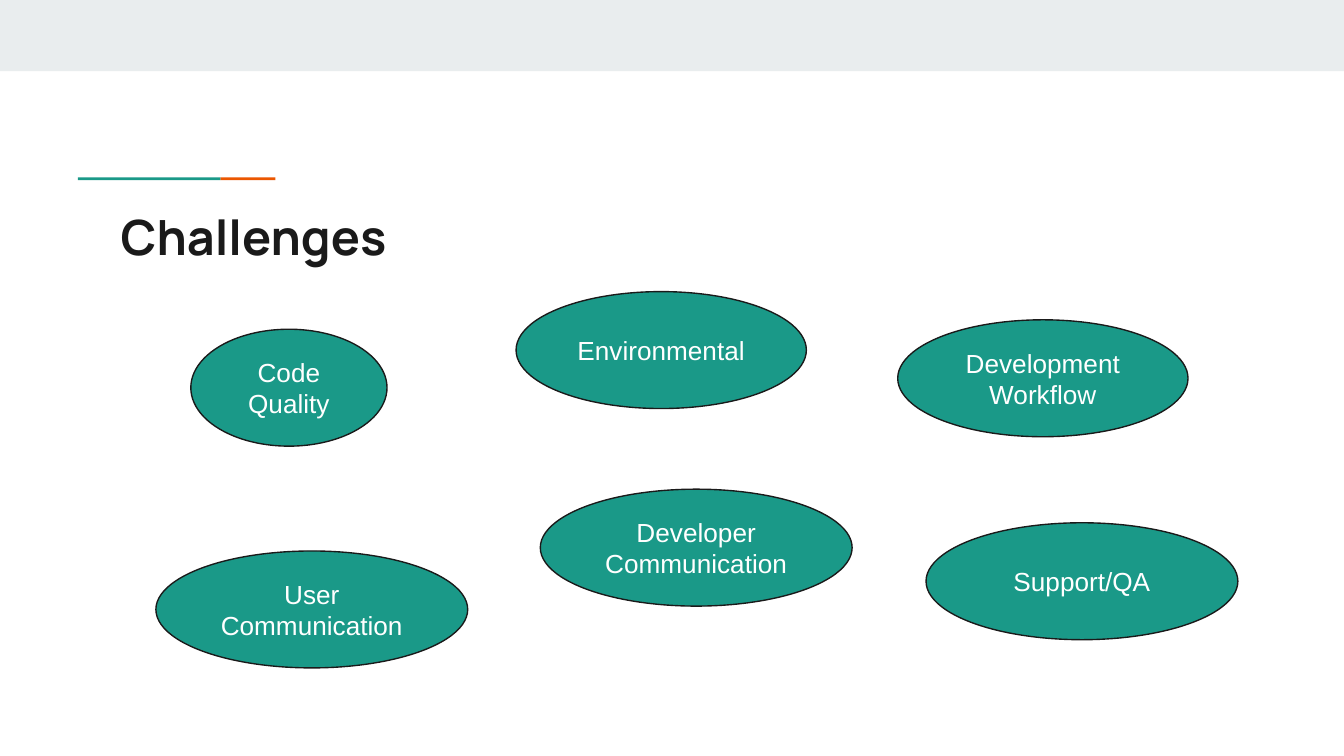
from pptx import Presentation
from pptx import util as u
from pptx.dml.color import RGBColor
from pptx.enum import shapes, text

WIDE = 10
HIGH = WIDE * 9 / 16
TEAL, ORANGE, INK, PALE, WHITE = "1A9988", "EB5600", "1A1A1A", "E9EDEE", "FFFFFF"
OVAL_HIGH = 0.87
# label, left, top, width
OVALS = [
    ("Code Quality", 1.42, 2.45, 1.46),
    ("Environmental", 3.84, 2.17, 2.16),
    ("Development Workflow", 6.68, 2.38, 2.16),
    ("Developer Communication", 4.02, 3.64, 2.32),
    ("User Communication", 1.16, 4.1, 2.32),
    ("Support/QA", 6.89, 3.89, 2.32),
]


def color(code):
    return RGBColor.from_string(code)


def place(left, top, width, height):
    return [u.Inches(n) for n in (left, top, width, height)]


def add_solid(slide, kind, box, fill, line=None):
    """Add a filled shape, outlined only if a line colour is given."""
    shape = slide.shapes.add_shape(kind, *place(*box))
    shape.shadow.inherit = False
    shape.fill.solid()
    shape.fill.fore_color.rgb = color(fill)
    if line:
        shape.line.color.rgb = color(line)
        shape.line.width = u.Pt(0.75)
    else:
        shape.line.fill.background()
    return shape


def write(shape, words, face, size, ink, align, anchor, bold=False):
    frame = shape.text_frame
    frame.text = words
    frame.word_wrap = True
    frame.vertical_anchor = anchor
    frame.margin_left = frame.margin_right = u.Inches(0.1)
    frame.margin_top = frame.margin_bottom = u.Inches(0.1)
    line = frame.paragraphs[0]
    line.alignment = align
    font = line.runs[0].font
    font.name, font.size, font.bold = face, u.Pt(size), bold
    font.color.rgb = color(ink)


def add_title(slide, words):
    box = slide.shapes.add_textbox(*place(0.8, 1.44, 8.41, 0.59))
    write(box, words, "Manrope", 26, INK, text.PP_ALIGN.LEFT,
          text.MSO_ANCHOR.TOP, bold=True)


def add_oval(slide, words, left, top, width):
    oval = add_solid(slide, shapes.MSO_SHAPE.OVAL,
                     (left, top, width, OVAL_HIGH), TEAL, INK)
    write(oval, words, "Arial", 14, WHITE, text.PP_ALIGN.CENTER,
          text.MSO_ANCHOR.MIDDLE)


def main():
    deck = Presentation()
    deck.slide_width, deck.slide_height = u.Inches(WIDE), u.Inches(HIGH)
    slide = deck.slides.add_slide(deck.slide_layouts[6])
    slide.background.fill.solid()
    slide.background.fill.fore_color.rgb = color(WHITE)
    rect = shapes.MSO_SHAPE.RECTANGLE
    add_solid(slide, rect, (0, 0, WIDE, 0.53), PALE)
    add_solid(slide, rect, (1.64, 1.32, 0.41, 0.02), ORANGE)
    add_solid(slide, rect, (0.58, 1.32, 1.06, 0.02), TEAL)
    add_title(slide, "Challenges")
    for oval in OVALS:
        add_oval(slide, *oval)
    deck.save("out.pptx")


if __name__ == "__main__":
    main()
